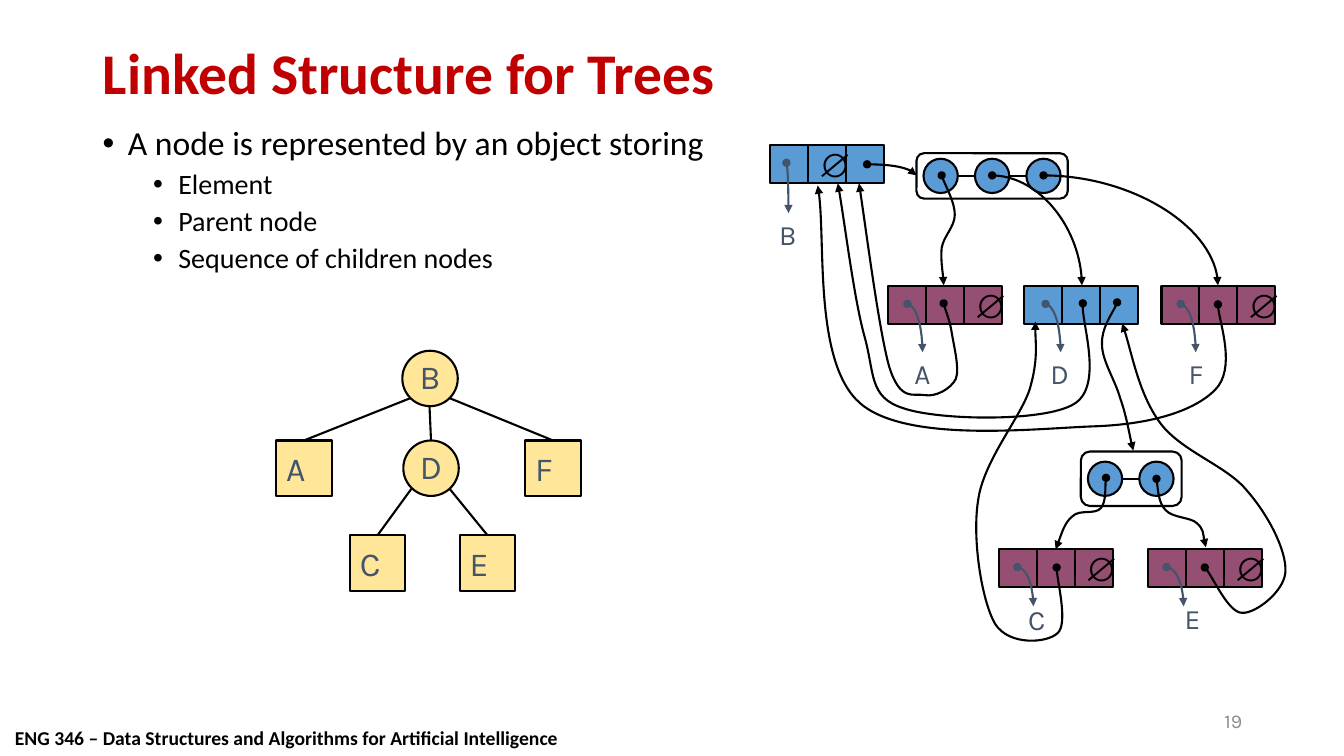
from lxml import etree
from pptx import Presentation
from pptx.dml.color import RGBColor
from pptx.enum.shapes import MSO_CONNECTOR as Connector, MSO_SHAPE as Preset
from pptx.enum.text import MSO_ANCHOR as Anchor, PP_ALIGN as Align
from pptx.oxml.ns import qn
from pptx.util import Inches, Pt

CELL = Inches(0.1)
COLUMNS, ROWS = 133.3, 75
BLACK = RGBColor(0x00, 0x00, 0x00)
RED = RGBColor(0xC0, 0x00, 0x00)
GRAY = RGBColor(0x8C, 0x8C, 0x8C)
SLATE = RGBColor(0x44, 0x54, 0x6A)
BLUE = RGBColor(0x5B, 0x9B, 0xD5)
PLUM = RGBColor(0x95, 0x4F, 0x72)
YELLOW = RGBColor(0xFF, 0xE6, 0x99)

BULLETS = [("A node is represented by an object storing", 0),
           ("Element", 1), ("Parent node", 1), ("Sequence of children nodes", 1)]

TREE_SIZE = 5.5
TREE_NODES = {"B": (39.9, 34.8, Preset.OVAL), "D": (40, 43.7, Preset.OVAL),
              "A": (27.4, 43.7, Preset.RECTANGLE), "F": (52.1, 43.7, Preset.RECTANGLE),
              "C": (34.7, 53.1, Preset.RECTANGLE), "E": (45.6, 53.1, Preset.RECTANGLE)}
TREE_EDGES = [("A", (40.7, 39.5)), ("D", (42.6, 40.3)), ("F", (44.6, 39.5)),
              ("C", (40.8, 48.5)), ("E", (44.6, 48.5))]

FIELD = 3.75
RECORDS = [("B", (76.4, 14.4), BLUE, 1, (1.6, 0.2, 5), (76.3, 21.1)),
           ("A", (88.1, 28.4), PLUM, 2, (1.9, 1.5, 4.8), (89.7, 34.9)),
           ("D", (101.6, 28.4), BLUE, None, (2.1, 1.5, 4.8), (103.2, 34.9)),
           ("F", (115.2, 28.4), PLUM, 2, (1.9, 1.5, 4.8), (116.9, 34.9)),
           ("C", (99.1, 54.5), PLUM, 2, (1.8, 1.6, 3.9), (101, 59.3)),
           ("E", (113.9, 54.5), PLUM, 2, (1.8, 1.7, 3.9), (116.5, 59.2))]

CHILD_ARCS = [((86, 16.3), (90.9, 17.4)), ((98.4, 17.4), (107.3, 28.3)),
              ((103.5, 17.4), (120.8, 28.3))]
PARENT_CURVES = [
    [(93.6, 30.1), (93.7, 30.6), (94.2, 31.8), (94.4, 33), (94.6, 34.3), (95.2, 36.6),
     (94.8, 37.6), (94.3, 38.6), (92.8, 39.4), (91.7, 39.2), (90.6, 39), (89.3, 39.9),
     (88.2, 36.4), (87.2, 32.9), (85.8, 22), (85.2, 18.2)],
    [(107.4, 30.1), (107.2, 31.8), (109.4, 38.4), (106.5, 40.1), (103.5, 41.9), (93, 41.7),
     (89.6, 40.5), (86.1, 39.4), (86.8, 37), (85.7, 33.2), (84.7, 29.5), (83.7, 21.4),
     (83.1, 18.2)],
    [(120.8, 30.2), (120.8, 31.6), (122.6, 36.6), (120.5, 38.7), (118.5, 40.7), (114.4, 42.1),
     (108.5, 42.3), (102.7, 42.5), (89.9, 44), (85.3, 40), (80.7, 36), (82, 22.9),
     (81.1, 18.4)],
    [(104.8, 56.3), (104.8, 57.4), (105.9, 61.9), (104.9, 62.8), (103.9, 63.8), (100.1, 64.1),
     (98.7, 61.9), (97.4, 59.7), (96.4, 53.6), (97, 49.7), (97.5, 45.8), (101.1, 41.6),
     (102.1, 38.7), (103, 35.7), (102.6, 33.3), (102.7, 31.9)],
    [(119.5, 56.3), (120.2, 57), (121.9, 60.8), (123.2, 60.8), (124.5, 60.9), (127.4, 58.7),
     (127.5, 56.7), (127.6, 54.6), (125.8, 51.1), (123.7, 48.7), (121.7, 46.2), (117.2, 44.8),
     (115.1, 42), (113, 39.2), (112.1, 34.2), (111.3, 32.1)]]
CHILD_CURVES = [
    [(93.4, 17.4), (93.6, 18.1), (94.7, 20.1), (94.7, 21.3), (94.7, 22.5), (93.6, 23.4),
     (93.4, 24.6), (93.3, 25.8), (93.6, 27.6), (93.6, 28.3)],
    [(110.8, 30), (110.6, 30.7), (109.2, 32.6), (109.3, 34.2), (109.3, 35.8), (110.6, 37.7),
     (111.1, 39.5), (111.7, 41.2), (112.1, 43.6), (112.4, 44.7)],
    [(109.7, 47.4), (109.6, 47.9), (109.7, 49.8), (109.2, 50.4), (108.6, 51.1), (107.1, 50.5),
     (106.4, 51.2), (105.6, 51.8), (105, 53.8), (104.7, 54.5)],
    [(114.7, 47.5), (114.8, 48), (114.9, 49.9), (115.6, 50.6), (116.3, 51.4), (118.1, 51.3),
     (118.7, 51.9), (119.4, 52.5), (119.4, 53.8), (119.6, 54.3)]]


def cells(*values):
    """Convert grid columns and rows to slide lengths."""
    return [int(value * CELL) for value in values]


def set_values(target, **values):
    """Set each named attribute of the target."""
    for name, value in values.items():
        setattr(target, name, value)


class Sketch:
    """Hold the drawing style and the current slide."""

    line_width = Pt(1.5)

    def __init__(self, slide):
        """Keep the slide and its shapes."""
        self.slide = slide
        self.shapes = slide.shapes

    def label(self, paragraph, text, size, font="Karla", color=SLATE, bold=False, align=Align.LEFT):
        """Add one formatted run to a paragraph."""
        paragraph.alignment = align
        run = paragraph.add_run()
        run.text = text
        set_values(run.font, size=Pt(size), name=font, bold=bold)
        run.font.color.rgb = color

    def title(self, text, box):
        """Place and fill the title placeholder."""
        title = self.shapes.title
        set_values(title, **dict(zip(("left", "top", "width", "height"), cells(*box))))
        set_values(title.text_frame, vertical_anchor=Anchor.MIDDLE, word_wrap=True)
        paragraph = title.text_frame.paragraphs[0]
        paragraph.line_spacing = 0.9
        self.label(paragraph, text, 41.1, "Calibri", RED, True)

    def text(self, text, box, size, wrap=True, anchor=Anchor.TOP, **style):
        """Add a one-line text box."""
        frame = self.shapes.add_textbox(*cells(*box)).text_frame
        set_values(frame, word_wrap=wrap, vertical_anchor=anchor)
        self.label(frame.paragraphs[0], text, size, **style)

    def bullets(self, items, box):
        """Add a two-level bullet list."""
        frame = self.shapes.add_textbox(*cells(*box)).text_frame
        frame.word_wrap = True
        for index, (text, level) in enumerate(items):
            paragraph = frame.add_paragraph() if index else frame.paragraphs[0]
            set_values(paragraph, level=level, line_spacing=0.9, space_before=Pt(5 if index else 0))
            properties = paragraph._p.get_or_add_pPr()
            properties.set("marL", str(Inches(0.25 + 0.5 * level)))
            properties.set("indent", str(-Inches(0.25)))
            etree.SubElement(properties, qn("a:buFont"), typeface="Arial")
            etree.SubElement(properties, qn("a:buChar"), char="•")
            self.label(paragraph, text, 20 if level else 24, "Calibri", BLACK)

    def outline(self, item, color=BLACK, arrow=False):
        """Draw the line of a shape, with a dot and an arrowhead if asked."""
        item.line.width = self.line_width
        item.line.color.rgb = color
        if arrow:
            line = item.element.spPr.find(qn("a:ln"))
            etree.SubElement(line, qn("a:headEnd"), type="oval")
            etree.SubElement(line, qn("a:tailEnd"), type="triangle")

    def shape(self, preset, box, fill=None, text="", **style):
        """Add an outlined preset shape, with a label if given."""
        shape = self.shapes.add_shape(preset, *cells(*box))
        shape.shadow.inherit = False
        if fill is None:
            shape.fill.background()
        else:
            shape.fill.solid()
            shape.fill.fore_color.rgb = fill
        self.outline(shape)
        if text:
            frame = shape.text_frame
            set_values(frame, word_wrap=False, vertical_anchor=Anchor.MIDDLE)
            if preset == Preset.OVAL:
                set_values(frame, margin_left=0, margin_right=0, margin_top=0)
                style["align"] = Align.CENTER
            self.label(frame.paragraphs[0], text, 24, **style)
        return shape

    def connector(self, start, end, kind=Connector.STRAIGHT, color=BLACK, arrow=False):
        """Add a straight line or a quarter arc."""
        connector = self.shapes.add_connector(kind, *cells(*start, *end))
        self.outline(connector, color, arrow)
        properties = connector.element.spPr
        etree.SubElement(properties, qn("a:effectLst"))
        if kind == Connector.CURVE:
            properties.find(qn("a:prstGeom")).set("prst", "curvedConnector2")
        return connector

    def curve(self, points):
        """Add an arrow along cubic curves, three points to each."""
        builder = self.shapes.build_freeform(*cells(*points[0]))
        builder.add_line_segments([cells(*point) for point in points[1:]], close=False)
        shape = builder.convert_to_shape()
        shape.shadow.inherit = False
        shape.fill.background()
        self.outline(shape, arrow=True)
        outline = next(shape.element.iter(qn("a:path")))
        segments = outline.findall(qn("a:lnTo"))
        for index, segment in enumerate(segments):
            if index % 3 == 0:
                bezier = etree.SubElement(outline, qn("a:cubicBezTo"))
            bezier.append(segment[0])
            outline.remove(segment)

    def record(self, name, corner, fill, empty, arrow, label):
        """Add a three-field node with the arrow to its element."""
        column, row = corner
        for field in (0, 2, 1):
            self.shape(Preset.RECTANGLE, (column + field * FIELD, row, FIELD, FIELD), fill,
                       "∅" if field == empty else "", font="Arial", color=BLACK)
        offset, across, down = arrow
        start = (column + offset, row + 1.75)
        self.connector(start, (start[0] + across, start[1] + down), Connector.CURVE, SLATE, True)
        self.text(name, (*label, 4, 4.3), 20)

    def sequence(self, box, count):
        """Add a framed row of linked child positions."""
        self.shape(Preset.ROUNDED_RECTANGLE, box)
        left, middle, size, pitch = box[0] + 0.7, box[1] + box[3] / 2, 3.4, 5.1
        self.connector((left + size, middle), (left + (count - 1) * pitch, middle))
        for index in range(count):
            self.shape(Preset.OVAL, (left + index * pitch, middle - size / 2, size, size), BLUE)


def main():
    """Build the slide and save it."""
    presentation = Presentation()
    set_values(presentation, slide_width=int(COLUMNS * CELL), slide_height=ROWS * CELL)
    sketch = Sketch(presentation.slides.add_slide(presentation.slide_layouts[5]))
    sketch.text("ENG 346 – Data Structures and Algorithms for Artificial Intelligence",
                (0.5, 71.5, 56.3, 3.3), 14, False, font="Calibri", color=BLACK, bold=True)
    sketch.title("Linked Structure for Trees", (9.2, 4, 115, 7))
    sketch.bullets(BULLETS, (9.2, 12.1, 64.9, 55.4))
    sketch.text("19", (94.2, 69.5, 30, 4), 14, anchor=Anchor.MIDDLE, color=GRAY, align=Align.RIGHT)

    tree = {name: sketch.shape(preset, (column, row, TREE_SIZE, TREE_SIZE), YELLOW, name)
            for name, (column, row, preset) in TREE_NODES.items()}
    for child, start in TREE_EDGES:
        sketch.connector(start, start).end_connect(tree[child], 0)

    sketch.sequence((90.9, 15.2, 15, 4.5), 3)
    sketch.sequence((107.2, 44.8, 10, 5.4), 2)
    for record in RECORDS:
        sketch.record(*record)
    for start, end in CHILD_ARCS:
        sketch.connector(start, end, Connector.CURVE, arrow=True)
    for points in PARENT_CURVES + CHILD_CURVES:
        sketch.curve(points)
    presentation.save("out.pptx")


if __name__ == "__main__":
    main()
